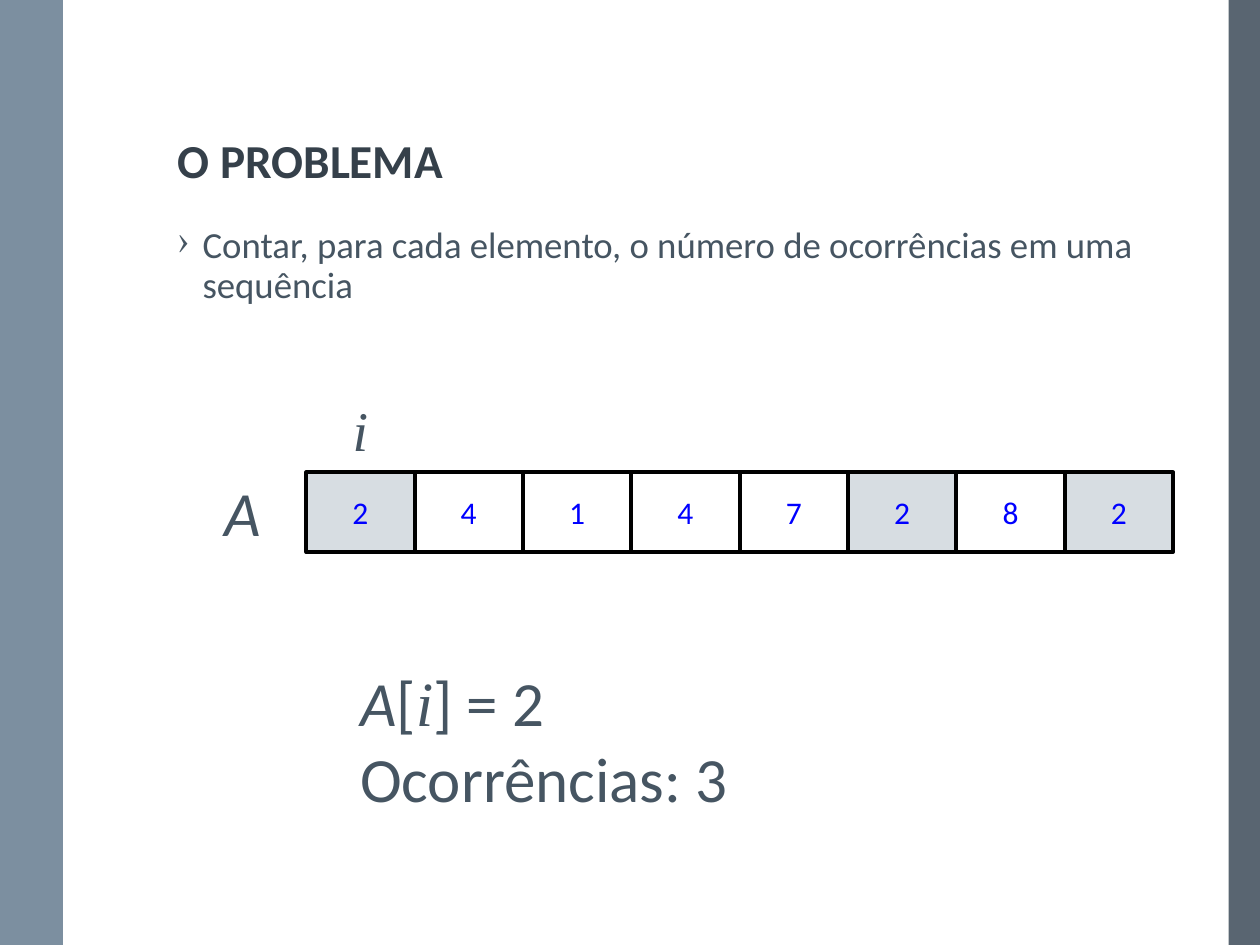
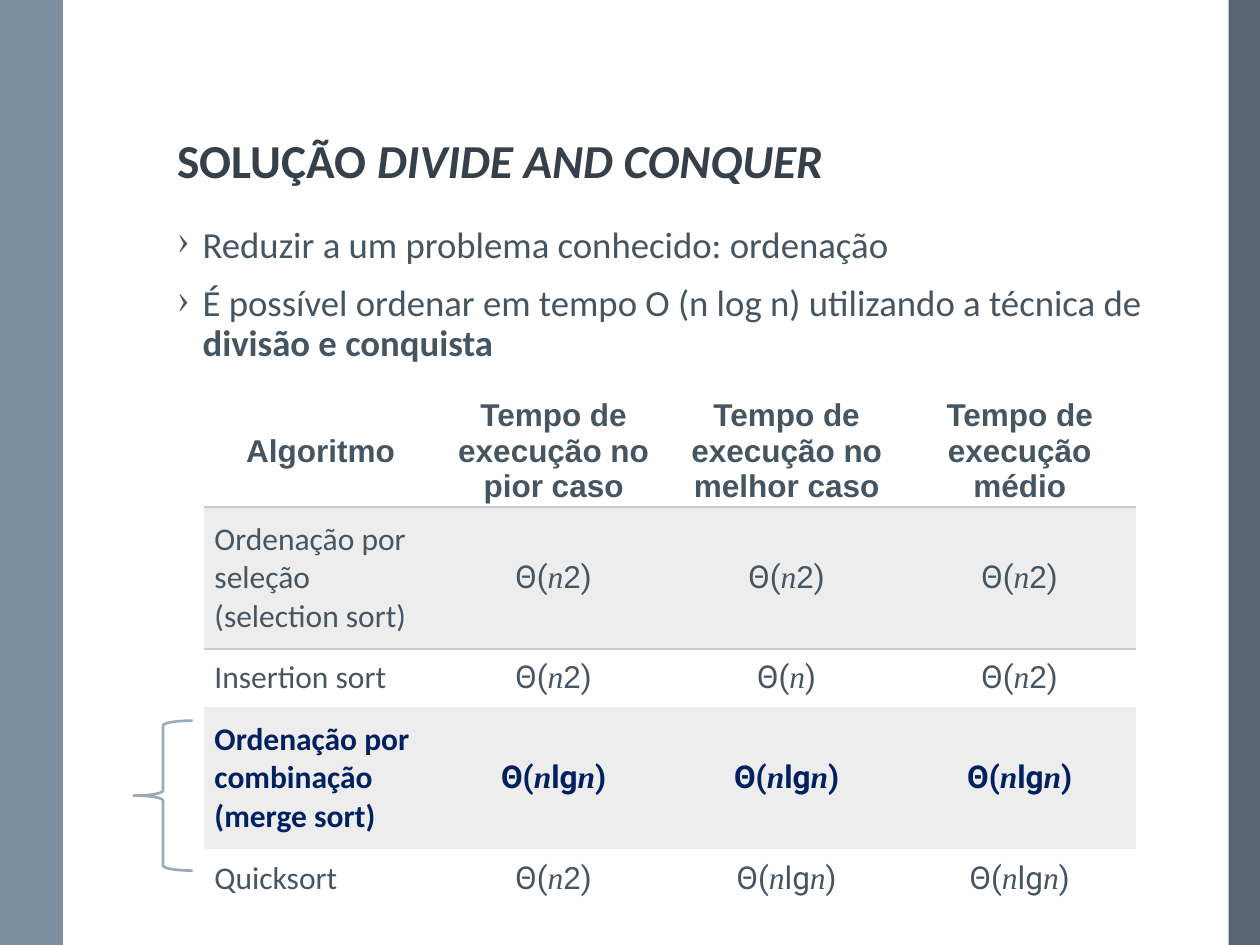
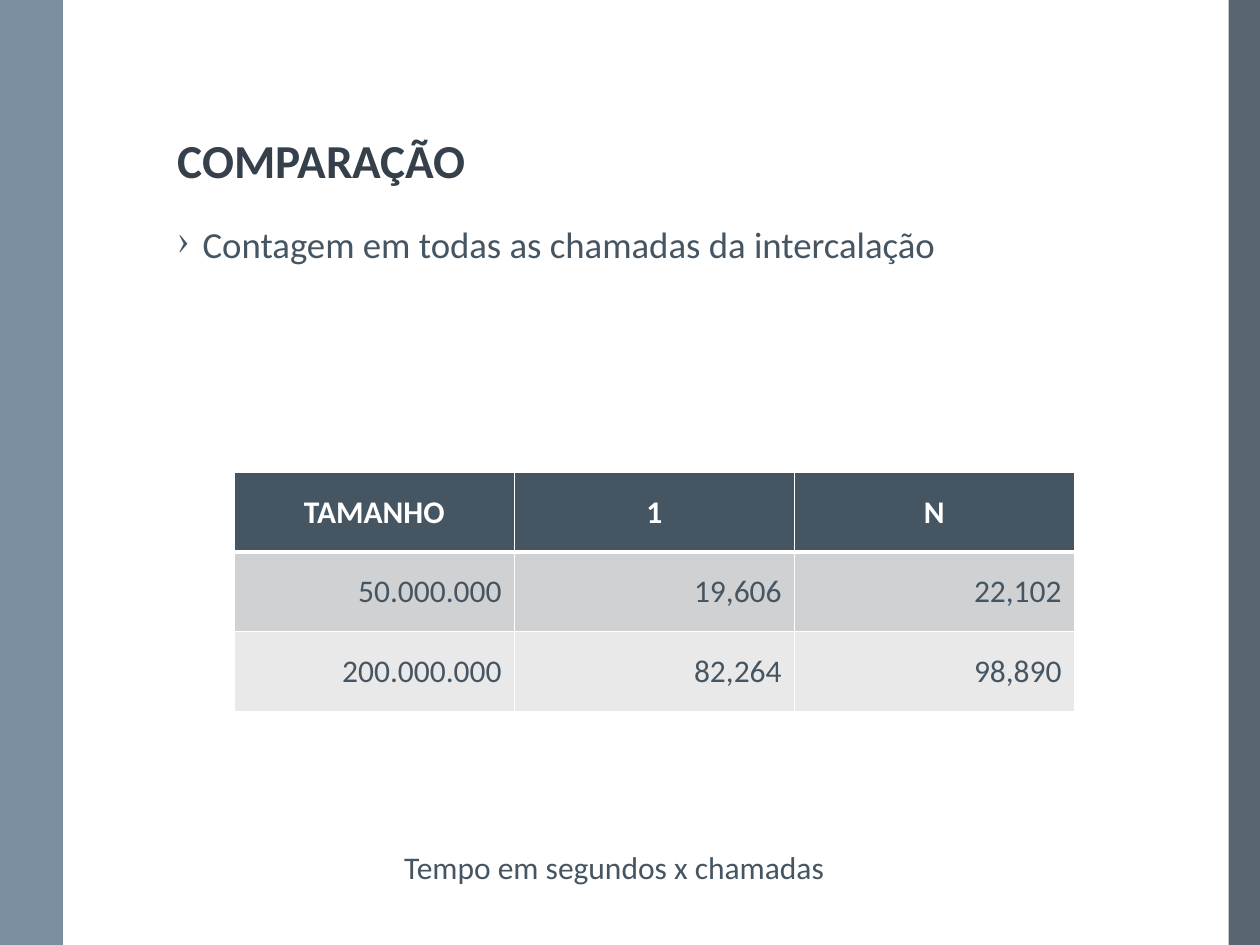
from dataclasses import dataclass, replace
from itertools import groupby

from pptx import Presentation
from pptx.dml.color import RGBColor
from pptx.enum.shapes import MSO_CONNECTOR, MSO_SHAPE
from pptx.enum.text import MSO_ANCHOR, MSO_AUTO_SIZE, PP_ALIGN
from pptx.oxml.ns import qn
from pptx.util import Pt
from lxml import etree

RECT, BRACE = MSO_SHAPE.RECTANGLE, MSO_SHAPE.LEFT_BRACE
LINE = MSO_CONNECTOR.STRAIGHT
LEFT, MID, RIGHT = PP_ALIGN.LEFT, PP_ALIGN.CENTER, PP_ALIGN.RIGHT
TOP, CENTER, BOTTOM = MSO_ANCHOR.TOP, MSO_ANCHOR.MIDDLE, MSO_ANCHOR.BOTTOM
FIXED, GROW = MSO_AUTO_SIZE.NONE, MSO_AUTO_SIZE.SHAPE_TO_FIT_TEXT

WHITE = RGBColor(0xFF, 0xFF, 0xFF)
BLACK = RGBColor(0, 0, 0)
SLATE = RGBColor(0x46, 0x55, 0x62)
DARK = RGBColor(0x35, 0x40, 0x4A)
STEEL = RGBColor(0x6A, 0x80, 0x93)
EDGE = RGBColor(0x47, 0x55, 0x62)
PALE = RGBColor(0xD7, 0xDD, 0xE2)
BLUE = RGBColor(0, 0, 0xFF)
NAVY = RGBColor(0, 0x20, 0x60)
BRACKET = RGBColor(0x9B, 0xAA, 0xB7)
RULE = RGBColor(0xCC, 0xCC, 0xCC)
STRIPE = RGBColor(0xED, 0xED, 0xED)
GREY = RGBColor(0xCF, 0xD1, 0xD3)
LIGHT = RGBColor(0xE9, 0xE9, 0xEA)

WIDE, HIGH = 720, 540
MARGIN, SPAN = 94.3, 578.2
BULLET = 14.4
PLAIN = "{2D5ABB26-0587-4C30-8999-92F81FD0307C}"


@dataclass(frozen=True)
class Style:
    """Look of a piece of text."""
    size: float = 18
    color: RGBColor = SLATE
    face: str = "Calibri"
    bold: bool = False
    italic: bool = False


@dataclass(frozen=True)
class Run:
    """Text in one style."""
    text: str
    style: Style = Style()


@dataclass(frozen=True)
class Box:
    """Place and size in points."""
    left: float
    top: float
    width: float
    height: float

    def dims(self) -> tuple:
        """Return the four lengths for an add call."""
        return Pt(self.left), Pt(self.top), Pt(self.width), Pt(self.height)


@dataclass(frozen=True)
class Edge:
    """One side of a table cell: L, R, T or B."""
    side: str
    color: RGBColor
    width: float


HEAD = Style(27, DARK, bold=True)
BODY = Style(21)
BIG = Style(36)
SLANT = replace(BIG, italic=True)
INDEX = replace(SLANT, face="Times New Roman")


def paint(font, style: Style) -> None:
    """Apply a style to a font."""
    font.size, font.name = Pt(style.size), style.face
    font.bold, font.italic = style.bold, style.italic
    font.color.rgb = style.color


def write(para, runs: list[Run], align=LEFT) -> None:
    """Fill a paragraph, with one font where its runs agree."""
    para.alignment = align
    same = len({run.style for run in runs}) == 1
    if same:
        paint(para.font, runs[0].style)
    for item in runs:
        run = para.add_run()
        run.text = item.text
        if not same:
            paint(run.font, item.style)


def fill_frame(frame, lines: list[list[Run]]) -> list:
    """Write one paragraph per line and return them."""
    for line in lines[1:]:
        frame.add_paragraph()
    for para, line in zip(frame.paragraphs, lines):
        write(para, line)
    return list(frame.paragraphs)


def add_text(slide, box: Box, lines: list[list[Run]], wrap=False, fit=GROW) -> list:
    """Add a text box and return its paragraphs."""
    frame = slide.shapes.add_textbox(*box.dims()).text_frame
    frame.word_wrap, frame.auto_size = wrap, fit
    return fill_frame(frame, lines)


def add_list(slide, lines: list[list[Run]], height: float = 81.4) -> None:
    """Add the bulleted body text."""
    box = Box(MARGIN, 126, SPAN, height)
    for para in add_text(slide, box, lines, True, FIXED):
        para.line_spacing, para.space_before = 0.9, Pt(10.5)
        props = para._p.get_or_add_pPr()
        props.set("marL", str(Pt(BULLET)))
        props.set("indent", str(-Pt(BULLET)))
        mark = etree.Element(qn("a:buChar"), char="›")
        props.find(qn("a:spcBef")).addnext(mark)


def add_shape(shapes, kind, box: Box, fill=None, line=None, width: float = 1.5):
    """Add a flat shape, with fill and line only where given."""
    shape = shapes.add_shape(kind, *box.dims())
    shape.shadow.inherit = False
    if fill is None:
        shape.fill.background()
    else:
        shape.fill.solid()
        shape.fill.fore_color.rgb = fill
    if line is None:
        shape.line.fill.background()
    else:
        shape.line.color.rgb, shape.line.width = line, Pt(width)
    return shape


def add_band(slide, left: float, width: float, color: RGBColor, alpha: int) -> None:
    """Add a translucent band of full height."""
    band = add_shape(slide.shapes, RECT, Box(left, 0, width, HIGH), color)
    tint = band._element.spPr.find(".//" + qn("a:srgbClr"))
    etree.SubElement(tint, qn("a:alpha"), val=str(alpha * 1000))


def add_slide(deck, title: list[Run]):
    """Add a slide with its bands and title."""
    slide = deck.slides.add_slide(deck.slide_layouts[5])
    add_band(slide, WIDE - 18, 18, EDGE, 90)
    add_band(slide, 0, 36, STEEL, 88)
    rule = slide.shapes.add_connector(LINE, Pt(36.5), 0, Pt(36.5), Pt(HIGH))
    rule.line.color.rgb, rule.line.width = WHITE, Pt(1.5)
    etree.SubElement(rule._element.spPr, qn("a:effectLst"))
    head = slide.shapes.title
    head.left, head.top, head.width, head.height = Box(MARGIN, 13.7, SPAN, 97.9).dims()
    frame = head.text_frame
    frame.vertical_anchor, frame.auto_size = BOTTOM, FIXED
    fill_frame(frame, [title])[0].line_spacing = 0.9
    return slide


def add_table(slide, box: Box, heights: list[float], cols: int):
    """Add an unstyled table with equal columns."""
    table = slide.shapes.add_table(len(heights), cols, *box.dims()).table
    table._tbl.tblPr.find(qn("a:tableStyleId")).text = PLAIN
    for col in table.columns:
        col.width = Pt(box.width / cols)
    for row, height in zip(table.rows, heights):
        row.height = Pt(height)
    return table


def fill_cell(cell, runs: list[Run], align, fill: RGBColor, edges: list[Edge]) -> None:
    """Write, border and fill a table cell."""
    cell.vertical_anchor = CENTER
    write(cell.text_frame.paragraphs[0], runs, align)
    props = cell._tc.get_or_add_tcPr()
    for edge in edges:
        line = etree.SubElement(props, qn("a:ln" + edge.side), w=str(Pt(edge.width)))
        solid = etree.SubElement(line, qn("a:solidFill"))
        etree.SubElement(solid, qn("a:srgbClr"), val=str(edge.color))
    cell.fill.solid()
    cell.fill.fore_color.rgb = fill


def math_runs(text: str, base: Style) -> list[Run]:
    """Split a formula into runs: variables, digits, other signs."""
    def look(char: str) -> Style:
        if char == "n":
            return replace(base, face="Times New Roman", italic=True)
        return replace(base, face="Arial" if char.isdigit() else "Roboto")
    return [Run("".join(part), style) for style, part in groupby(text, look)]


def problem(deck) -> None:
    """Build the slide that states the problem."""
    slide = add_slide(deck, [Run("O PROBLEMA", HEAD)])
    add_list(slide, [[Run("Contar, para cada elemento, o número de ocorrências "
                          "em uma sequência", BODY)]])
    group, step = slide.shapes.add_group_shape(), 61.92
    for spot, digit in enumerate("24147282"):
        box = Box(175 + spot * step, 270, step, 45.4)
        fill = PALE if digit == "2" else None
        cell = add_shape(group.shapes, RECT, box, fill, BLACK, 2.25)
        cell.text_frame.vertical_anchor = CENTER
        write(cell.text_frame.paragraphs[0], [Run(digit, Style(color=BLUE))], MID)
    add_text(slide, Box(121, 267, 37.4, 51), [[Run("A", SLANT)]])
    add_text(slide, Box(194.4, 222.5, 23.8, 38), [[Run("i", replace(INDEX, size=32))]])
    add_text(slide, Box(198.7, 375.8, 260, 94.3), [
        [Run("A", SLANT), Run("[", BIG), Run("i", INDEX), Run("] = 2", BIG)],
        [Run("Ocorrências: 3", BIG)]])


def solution(deck) -> None:
    """Build the slide that compares sorting algorithms."""
    slide = add_slide(deck, [Run("SOLUÇÃO ", HEAD),
                             Run("DIVIDE AND CONQUER", replace(HEAD, italic=True))])
    add_list(slide, [
        [Run("Reduzir a um problema conhecido: ordenação", BODY)],
        [Run("É possível ordenar em tempo O (n log n) utilizando a técnica de ", BODY),
         Run("divisão e conquista", replace(BODY, bold=True))]], 360)
    square, linear, log = "Θ(n2)", "Θ(n)", "Θ(nlgn)"
    rows = [
        ("Algoritmo", "Tempo de execução no pior caso",
         "Tempo de execução no melhor caso", "Tempo de execução médio"),
        ("Ordenação por seleção (selection sort)", square, square, square),
        ("Insertion sort", square, linear, square),
        ("Ordenação por combinação (merge sort)", log, log, log),
        ("Quicksort", square, log, log)]
    heights = [54.7, 81.4, 33.1, 81.4, 33.1]
    table = add_table(slide, Box(116.6, 224.6, 532.8, sum(heights)), heights, 4)
    bold = Style(face="Arial", bold=True)
    for r, row in enumerate(rows):
        base = Style(color=NAVY, bold=True) if r == 3 else Style()
        sides = {0: "B", 1: "T"}.get(r, "")
        for c, text in enumerate(row):
            cell = table.cell(r, c)
            cell.margin_left = cell.margin_right = Pt(6)
            cell.margin_top, cell.margin_bottom = Pt(3), Pt(3 if r else 1.5)
            if r == 0:
                runs = [Run(text, bold)]
            else:
                runs = math_runs(text, base) if c else [Run(text, base)]
            fill_cell(cell, runs, LEFT if r and not c else MID,
                      STRIPE if r % 2 else WHITE,
                      [Edge(side, RULE, 1.2) for side in sides])
    add_shape(slide.shapes, BRACE, Box(76.3, 411.8, 33.8, 85.7), line=BRACKET)


def compare(deck) -> None:
    """Build the slide with the measured times."""
    slide = add_slide(deck, [Run("COMPARAÇÃO", HEAD)])
    rows = [("TAMANHO", "1", "N"),
            ("50.000.000", "19,606", "22,102"),
            ("200.000.000", "82,264", "98,890")]
    table = add_table(slide, Box(133.9, 270, 480, 136.5), [45.5] * 3, 3)
    for r, (row, fill) in enumerate(zip(rows, (SLATE, GREY, LIGHT))):
        style = Style() if r else Style(color=WHITE, bold=True)
        widths = {"L": 1, "R": 1, "T": 3 if r == 1 else 1, "B": 1 if r else 3}
        edges = [Edge(side, WHITE, width) for side, width in widths.items()]
        for c, text in enumerate(row):
            fill_cell(table.cell(r, c), [Run(text, style)],
                      RIGHT if r else MID, fill, edges)
    add_text(slide, Box(223.9, 481, 323.3, 28.8),
             [[Run("Tempo em segundos x chamadas")]], True)
    add_list(slide, [[Run("Contagem em todas as chamadas da intercalação", BODY)]])


def main() -> None:
    """Build and save the deck."""
    deck = Presentation()
    deck.slide_width, deck.slide_height = Pt(WIDE), Pt(HIGH)
    for build in (problem, solution, compare):
        build(deck)
    deck.save("out.pptx")


main()
